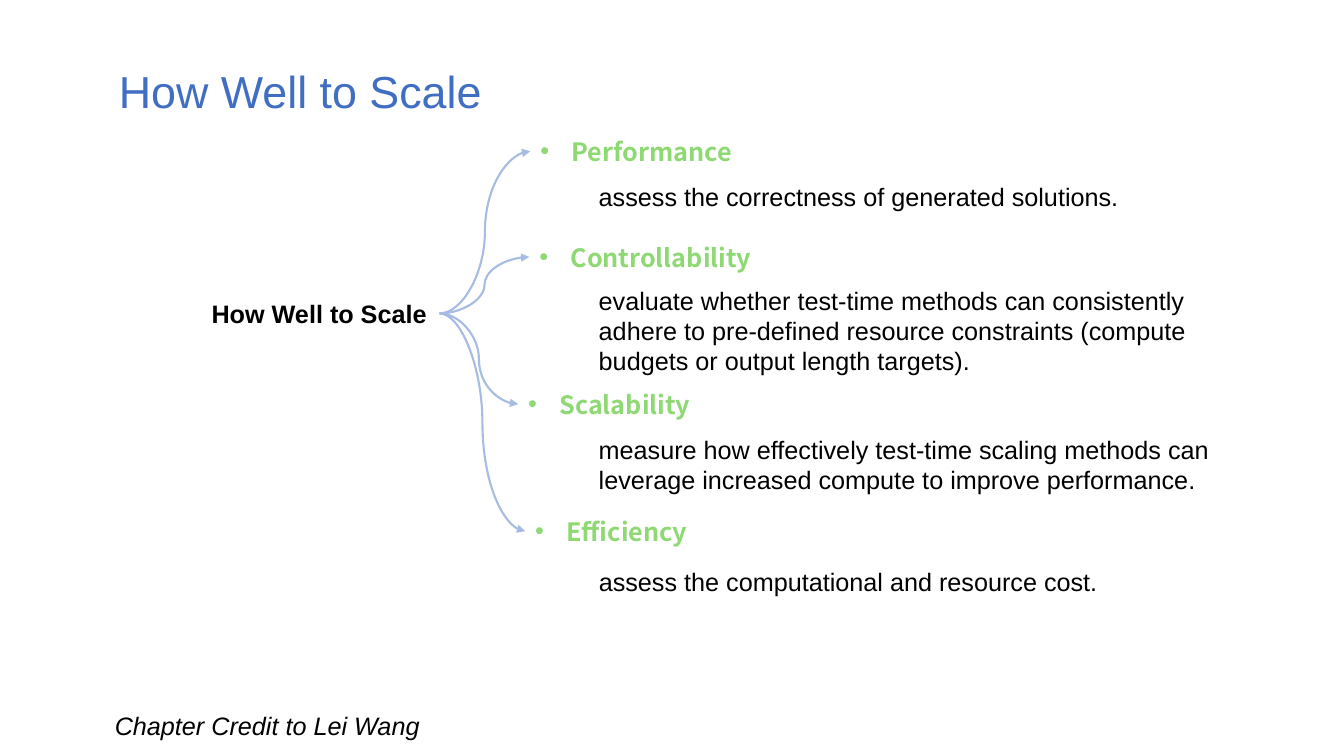
from lxml.etree import SubElement
from pptx import Presentation
from pptx.dml.color import RGBColor
from pptx.enum.shapes import MSO_CONNECTOR
from pptx.enum.text import MSO_AUTO_SIZE
from pptx.oxml.ns import qn
from pptx.util import Inches, Pt

BLUE = RGBColor(0x3F, 0x6E, 0xC2)
LIGHT_BLUE = RGBColor(0xA6, 0xBC, 0xE3)
GREEN = RGBColor(0x8E, 0xD9, 0x73)
BLACK = RGBColor(0, 0, 0)
WIDTH, HEIGHT = 13.33, 7.5
LINE_HEIGHT = 0.4
INDENT = 0.31

# heading, heading left, top and width, description, description top, width and height
CRITERIA = [
    ("Performance", (5.26, 1.3, 2.81),
     "assess the correctness of generated solutions.", (1.75, 5.54, 0.4)),
    ("Controllability", (5.25, 2.35, 2.31),
     "evaluate whether test-time methods can consistently adhere to pre-defined "
     "resource constraints (compute budgets or output length targets).", (2.78, 6.67, 1.01)),
    ("Scalability", (5.14, 3.81, 2.24),
     "measure how effectively test-time scaling methods can leverage increased "
     "compute to improve performance.", (4.26, 6.67, 0.71)),
    ("Efficiency", (5.21, 5.07, 2.18),
     "assess the computational and resource cost.", (5.57, 5.29, 0.4)),
]


def add_text(slide, box, text, size=18, color=BLACK, face="Arial",
             bold=False, italic=False, wrap=True, bullet=False):
    """Place one paragraph of text in the box."""
    frame = slide.shapes.add_textbox(*map(Inches, box)).text_frame
    frame.word_wrap = wrap
    frame.auto_size = MSO_AUTO_SIZE.SHAPE_TO_FIT_TEXT
    paragraph = frame.paragraphs[0]
    paragraph.text = text
    if bullet:
        properties = paragraph._p.get_or_add_pPr()
        properties.set("marL", str(Inches(INDENT)))
        properties.set("indent", str(-Inches(INDENT)))
        SubElement(properties, qn("a:buFont")).set("typeface", "Arial")
        SubElement(properties, qn("a:buChar")).set("char", "•")
    font = paragraph.font
    font.name, font.size, font.color.rgb = face, Pt(size), color
    font.bold, font.italic = bold, italic


def add_branch(slide, start, end):
    """Draw a curved arrow from the root to a criterion."""
    branch = slide.shapes.add_connector(MSO_CONNECTOR.CURVE, *map(Inches, start + end))
    branch.line.color.rgb = LIGHT_BLUE
    branch.line.width = Pt(1.5)
    SubElement(branch.line._get_or_add_ln(), qn("a:tailEnd")).set("type", "triangle")
    SubElement(branch._element.spPr, qn("a:effectLst"))


def add_criterion(slide, root, heading, heading_place, description, description_place):
    """Place one criterion with its branch, bulleted heading and description."""
    left, top, width = heading_place
    description_top, description_width, description_height = description_place
    add_branch(slide, root, (left, top + LINE_HEIGHT / 2))
    add_text(slide, (left, top, width, LINE_HEIGHT), heading, color=GREEN,
             face="Noto Sans CJK SC", bold=True, bullet=True)
    add_text(slide, (5.84, description_top, description_width, description_height),
             description)


def add_tree(slide, box):
    """Place the root label in the box and branch to every criterion."""
    left, top, width, height = box
    add_text(slide, box, "How Well to Scale", bold=True, wrap=False)
    for criterion in CRITERIA:
        add_criterion(slide, (left + width, top + height / 2), *criterion)


def main():
    """Build the slide and save it."""
    deck = Presentation()
    deck.slide_width, deck.slide_height = Inches(WIDTH), Inches(HEIGHT)
    slide = deck.slides.add_slide(deck.slide_layouts[6])
    add_text(slide, (1.08, 0.58, 3.83, 0.64), "How Well to Scale",
             size=32, color=BLUE, wrap=False)
    add_tree(slide, (2, 2.91, 2.36, LINE_HEIGHT))
    add_text(slide, (1.04, 7, 8.04, LINE_HEIGHT), "Chapter Credit to Lei Wang", italic=True)
    deck.save("out.pptx")


if __name__ == "__main__":
    main()
